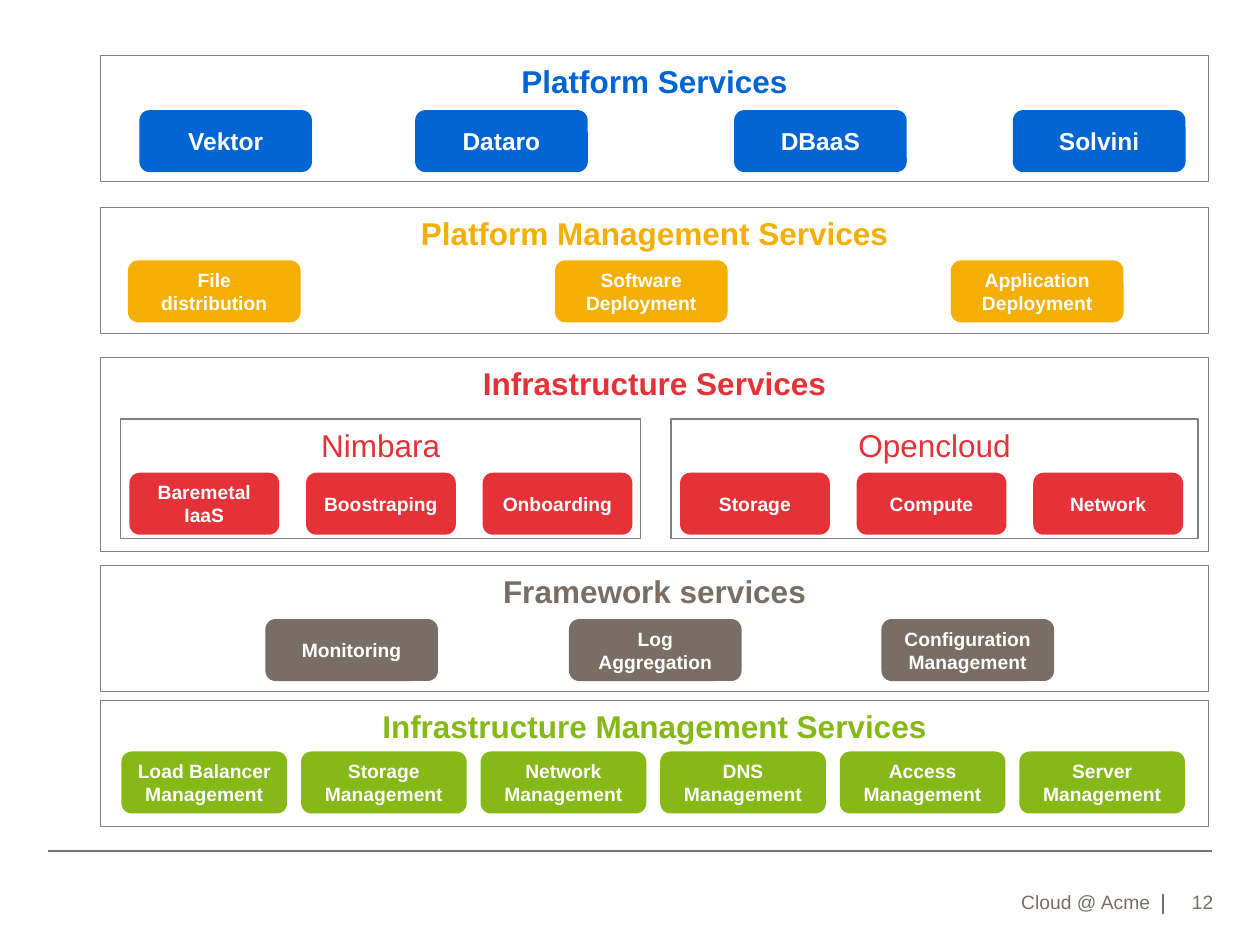
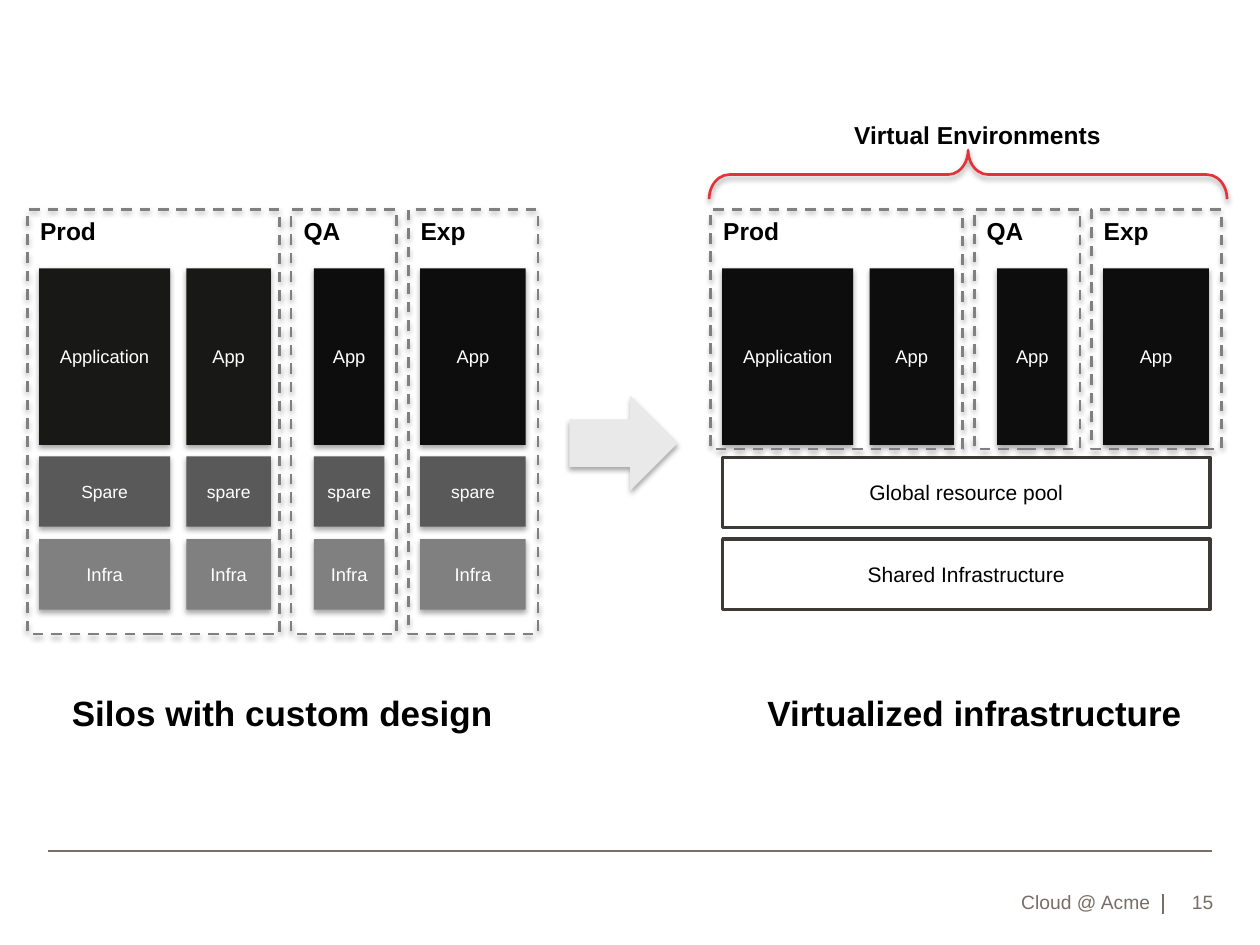
import dataclasses

import pptx
import pptx.dml.color
import pptx.enum.dml
import pptx.enum.shapes
import pptx.enum.text
import pptx.oxml
import pptx.oxml.ns
import pptx.util

Cm = pptx.util.Cm
Pt = pptx.util.Pt
KIND = pptx.enum.shapes.MSO_SHAPE
ALIGN = pptx.enum.text.PP_ALIGN
ANCHOR = pptx.enum.text.MSO_ANCHOR


@dataclasses.dataclass(frozen=True)
class Theme:
    font: str = "Arial"
    white: str = "FFFFFF"
    black: str = "000000"
    blue: str = "0064D2"
    gold: str = "F5AF02"
    red: str = "E53238"
    taupe: str = "796E65"
    green: str = "86B817"
    grey: str = "808080"
    dark: str = "595959"
    coal: str = "181817"
    ink: str = "0D0D0D"
    edge: str = "3D3935"
    pale: str = "E9E9E9"
    small: float = 10
    cell: float = 10.5
    note: float = 11
    pool: float = 12
    label: float = 14
    title: float = 18
    head: float = 20


T = Theme()


def tint(code):
    return pptx.dml.color.RGBColor.from_string(code)


def write(shape, text, size=T.note, color=T.white, bold=False, align=ALIGN.CENTER,
          anchor=ANCHOR.MIDDLE, wrap=True, pads=(0.25, 0.13, 0.25, 0.13)):
    """Fill a shape with text, one paragraph a line; pads are left, top, right, bottom."""
    frame = shape.text_frame
    frame.word_wrap = wrap
    frame.vertical_anchor = anchor
    frame.margin_left, frame.margin_top, frame.margin_right, frame.margin_bottom = map(Cm, pads)
    frame.text = text
    for para in frame.paragraphs:
        para.alignment = align
        font = para.runs[0].font
        font.name, font.size, font.bold = T.font, Pt(size), bold
        font.color.rgb = tint(color)


def shade(shape, alpha=35):
    """Cast a soft shadow straight down."""
    shadow = pptx.oxml.parse_xml(
        f'<a:outerShdw {pptx.oxml.ns.nsdecls("a")} blurRad="40000" dist="23000" '
        f'dir="5400000" rotWithShape="0"><a:srgbClr val="{T.black}">'
        f'<a:alpha val="{alpha * 1000}"/></a:srgbClr></a:outerShdw>')
    shape._element.spPr.find(pptx.oxml.ns.qn("a:effectLst")).append(shadow)


def draw(slide, kind, box, fill=None, line=None, width=0.75, dash=False, shadow=False):
    shape = slide.shapes.add_shape(kind, *map(Cm, box))
    shape.shadow.inherit = False
    if fill:
        shape.fill.solid()
        shape.fill.fore_color.rgb = tint(fill)
    else:
        shape.fill.background()
    if line:
        shape.line.color.rgb = tint(line)
        shape.line.width = Pt(width)
        if dash:
            shape.line.dash_style = pptx.enum.dml.MSO_LINE.DASH
    else:
        shape.line.fill.background()
    if shadow:
        shade(shape)
    return shape


def label(slide, text, box, **style):
    style = dict(size=T.label, color=T.black, bold=True, align=ALIGN.LEFT,
                 anchor=ANCHOR.TOP, wrap=False) | style
    write(slide.shapes.add_textbox(*map(Cm, box)), text, **style)


def rule(slide, *ends):
    line = slide.shapes.add_connector(pptx.enum.shapes.MSO_CONNECTOR.STRAIGHT, *map(Cm, ends))
    line.line.color.rgb = tint(T.taupe)
    line.line.width = Pt(1)
    line._element.spPr.append(
        pptx.oxml.parse_xml(f'<a:effectLst {pptx.oxml.ns.nsdecls("a")}/>'))


def footer(slide, page):
    rule(slide, 0.97, 17.15, 24.43, 17.15)
    rule(slide, 23.44, 18.03, 23.44, 18.42)
    for text, left, width in (("Cloud @ Acme", 13.89, 9.3), (page, 23.44, 1.02)):
        label(slide, text, (left, 17.72, width, 0.7), size=T.note, color=T.taupe,
              bold=False, align=ALIGN.RIGHT, anchor=ANCHOR.BOTTOM, wrap=True,
              pads=(0, 0.13, 0, 0))


def panel(slide, box, title, color, names=(), lefts=(), drop=1.08, wide=3.48,
          size=T.note, bold=True, fill=None):
    """Draw a titled frame with a row of buttons; lefts and drop count from its corner."""
    left, top = box[:2]
    frame = draw(slide, KIND.RECTANGLE, box, fill=fill, line=T.grey)
    write(frame, title, size=T.title, color=color, bold=bold, anchor=ANCHOR.TOP)
    for name, shift in zip(names, lefts):
        spot = (left + shift, top + drop, wide, 1.25)
        button = draw(slide, KIND.ROUNDED_RECTANGLE, spot, fill=color)
        write(button, name, size=size, bold=True)


def stack(slide, left, wide):
    """Draw the five service layers from top to bottom."""
    def layer(top, *args, high=2.54, **style):
        panel(slide, (left, top, wide, high), *args, **style)

    layer(1.12, "Platform Services", T.blue, ("Vektor", "Dataro", "DBaaS", "Solvini"),
          (0.79, 6.35, 12.78, 18.4), drop=1.1, size=T.label)
    layer(4.19, "Platform Management Services", T.gold,
          ("File distribution", "Software\nDeployment", "Application\nDeployment"),
          (0.56, 9.17, 17.15), drop=1.06)

    top = 7.21
    layer(top, "Infrastructure Services", T.red, high=3.91)
    pools = (("Nimbara", 0.41, 10.49, ("Baremetal\nIaaS", "Boostraping", "Onboarding")),
             ("Opencloud", 11.51, 10.62, ("Storage", "Compute", "Network")))
    for title, shift, width, names in pools:
        panel(slide, (left + shift, top + 1.24, width, 2.41), title, T.red, names,
              [0.18 + 3.56 * i for i in range(3)], wide=3.02, bold=False, fill=T.white)

    layer(11.4, "Framework services", T.taupe,
          ("Monitoring", "Log\nAggregation", "Configuration\nManagement"),
          (3.33, 9.45, 15.75))
    kinds = ("Load Balancer", "Storage", "Network", "DNS", "Access", "Server")
    layer(14.12, "Infrastructure Management Services", T.green,
          [f"{kind}\nManagement" for kind in kinds],
          [0.43 + 3.62 * i for i in range(6)], drop=1.03, wide=3.34)


def silos(slide, left, top, high, rows):
    """Draw the Prod, QA and Exp frames around rows of (names, fills, size, drop, height)."""
    spans = ((0.23, 2.64), (3.2, 1.7), (5.77, 1.42), (7.91, 2.13))
    for names, fills, size, drop, tall in rows:
        for (shift, width), name, fill in zip(spans, names, fills):
            cell = draw(slide, KIND.RECTANGLE, (left + shift, top + drop, width, tall),
                        fill=fill, shadow=True)
            write(cell, name, size=size, pads=(0, 0.13, 0, 0.13))
    for name, shift, width in (("Prod", 0, 5.08), ("QA", 5.31, 2.13), ("Exp", 7.67, 2.62)):
        draw(slide, KIND.RECTANGLE, (left + shift, top, width, high),
             line=T.grey, width=1.5, dash=True, shadow=True)
        label(slide, name, (left + shift, top, width, 0.86), wrap=True)


def custom(slide, left, top):
    rows = ((["Infra"] * 4, [T.grey] * 4, T.cell, 6.65, 1.42),
            (["Spare"] + ["spare"] * 3, [T.dark] * 4, T.small, 4.98, 1.42),
            (["Application"] + ["App"] * 3, [T.coal] * 2 + [T.ink] * 2, T.cell, 1.19, 3.56))
    silos(slide, left, top, 8.56, rows)
    label(slide, "Silos with custom design", (left + 0.64, top + 9.6, 9.07, 1.12), size=T.head)


def shared(slide, left, top):
    for name, drop in (("Shared Infrastructure", 6.65), ("Global resource pool", 5)):
        pool = draw(slide, KIND.RECTANGLE, (left + 0.24, top + drop, 9.82, 1.42),
                    fill=T.white, line=T.edge, width=2)
        write(pool, name, size=T.pool, color=T.black)
    rows = ((["Application"] + ["App"] * 3, [T.ink] * 4, T.cell, 1.19, 3.56),)
    silos(slide, left, top, 4.83, rows)
    label(slide, "Virtualized infrastructure", (left + 0.89, top + 9.6, 8.94, 1.12),
          size=T.head)
    brace = draw(slide, KIND.LEFT_BRACE, (left + 4.69, top - 5.92, 0.99, 10.44),
                 line=T.red, width=1.5)
    brace.rotation = 90
    brace.adjustments[0] = 0.41
    shade(brace, alpha=38)
    label(slide, "Virtual Environments", (left + 2.64, top - 1.93, 5.51, 0.86))


def main():
    deck = pptx.Presentation()
    deck.slide_width, deck.slide_height = Cm(25.4), Cm(19.05)
    blank = deck.slide_layouts[6]

    slide = deck.slides.add_slide(blank)
    footer(slide, "12")
    stack(slide, 2.02, 22.35)

    slide = deck.slides.add_slide(blank)
    footer(slide, "15")
    custom(slide, 0.56, 4.22)
    draw(slide, KIND.RIGHT_ARROW, (11.48, 7.98, 2.18, 1.91), fill=T.pale, shadow=True)
    shared(slide, 14.33, 4.22)

    deck.save("out.pptx")


if __name__ == "__main__":
    main()
